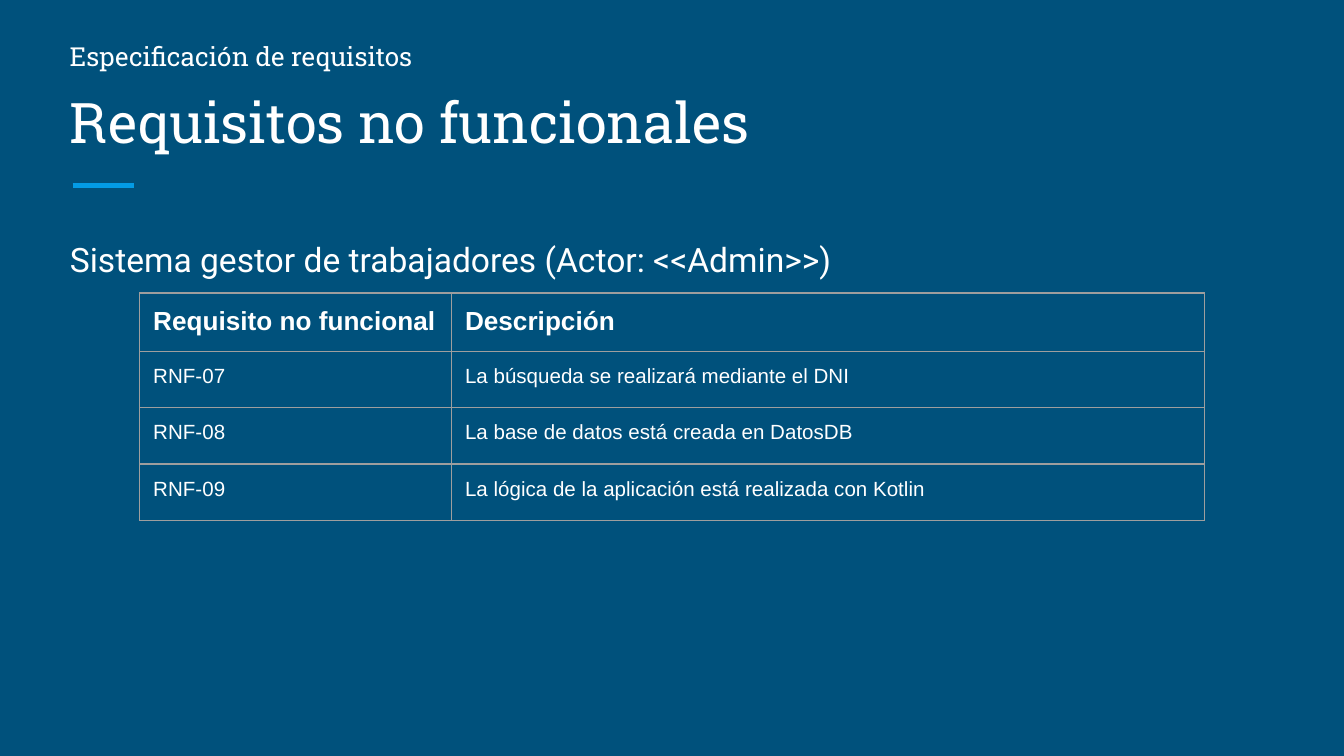
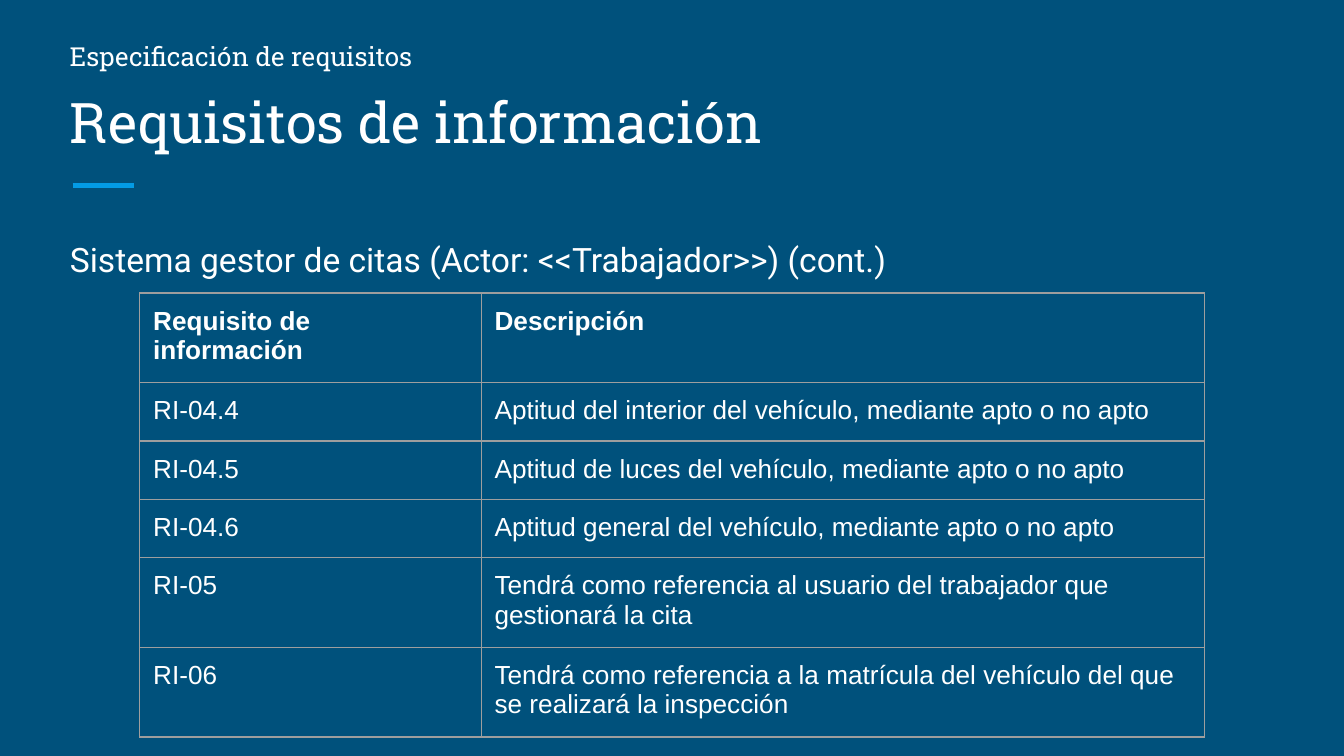
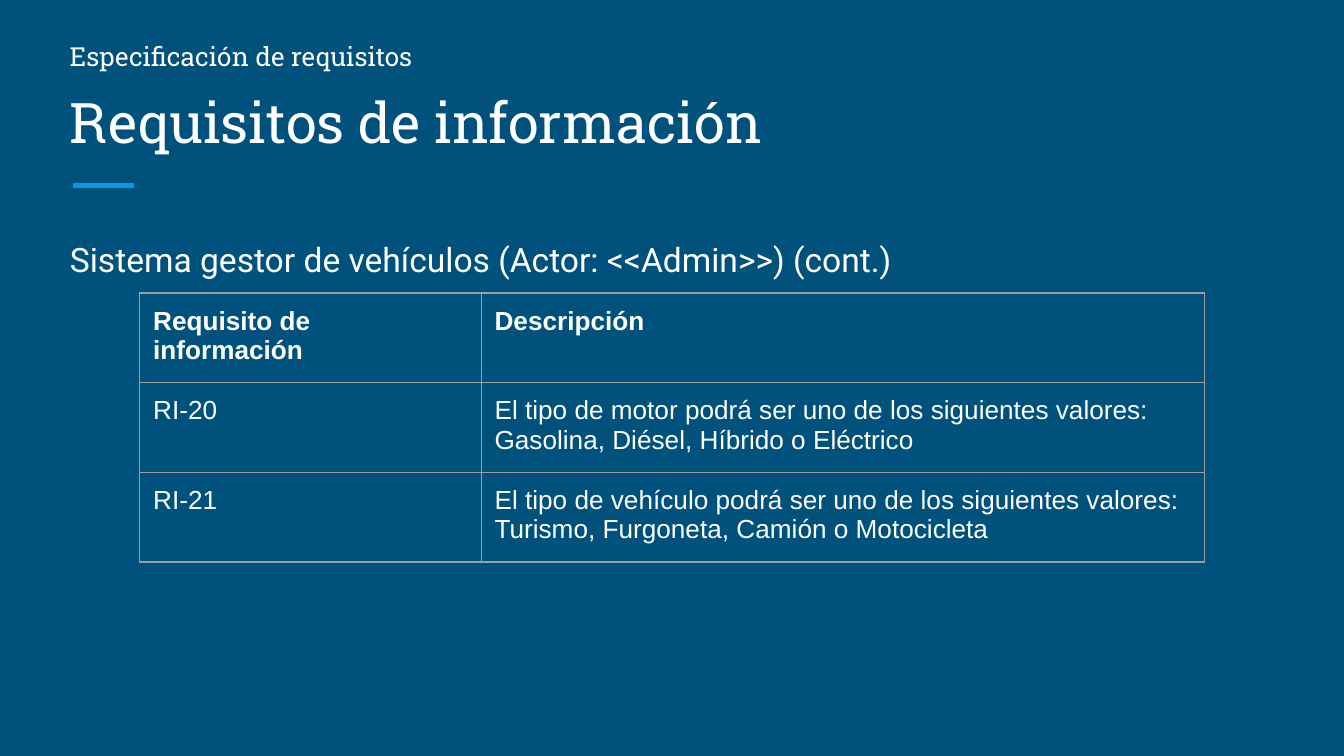
from lxml import etree
from pptx import Presentation
from pptx import util as u
from pptx.dml.color import RGBColor
from pptx.enum import shapes, text
from pptx.oxml import ns

HEX = {"back": "00517C", "text": "FFFFFF", "accent": "039BE5", "grid": "9E9E9E"}
WIDE = u.Inches(10)
HIGH = WIDE * 9 // 16
LEFT = 0.42
INSET = u.Inches(0.1)
ROW = 0.42

LOOKS = {
    "title": {"name": "Roboto Slab", "size": u.Pt(30)},
    "topic": {"name": "Roboto Slab", "size": u.Pt(14)},
    "body": {"name": "Roboto", "size": u.Pt(18)},
    "head": {"name": "Arial", "size": u.Pt(14), "bold": True},
    "cell": {"name": "Arial", "size": u.Pt(14), "bold": False},
    "small": {"name": "Arial", "size": u.Pt(11), "bold": False},
}
PLAIN = {"alignment": text.PP_ALIGN.LEFT, "space_before": u.Pt(0)}
LIST = {**PLAIN, "line_spacing": 1.15, "space_after": u.Pt(12)}
MARGINS = {f"margin_{side}": INSET for side in ("left", "top", "right", "bottom")}

TOPIC = "Especificación de requisitos"
INFO = ("Requisito de información", "Descripción")
PAGES = [
    {
        "title": "Requisitos no funcionales",
        "body": "Sistema gestor de trabajadores (Actor: <<Admin>>)",
        "cols": (2.32, 5.6),
        "look": "small",
        "rows": [
            ("Requisito no funcional", "Descripción"),
            ("RNF-07", "La búsqueda se realizará mediante el DNI"),
            ("RNF-08", "La base de datos está creada en DatosDB"),
            ("RNF-09", "La lógica de la aplicación está realizada con Kotlin"),
        ],
    },
    {
        "title": "Requisitos de información",
        "body": "Sistema gestor de citas (Actor: <<Trabajador>>) (cont.)",
        "cols": (2.54, 5.38),
        "look": "cell",
        "rows": [
            INFO,
            ("RI-04.4", "Aptitud del interior del vehículo, mediante apto o no apto"),
            ("RI-04.5", "Aptitud de luces del vehículo, mediante apto o no apto"),
            ("RI-04.6", "Aptitud general del vehículo, mediante apto o no apto"),
            ("RI-05", "Tendrá como referencia al usuario del trabajador que "
                      "gestionará la cita"),
            ("RI-06", "Tendrá como referencia a la matrícula del vehículo del que "
                      "se realizará la inspección"),
        ],
    },
    {
        "title": "Requisitos de información",
        "body": "Sistema gestor de vehículos (Actor: <<Admin>>) (cont.)",
        "cols": (2.54, 5.38),
        "look": "cell",
        "rows": [
            INFO,
            ("RI-20", "El tipo de motor podrá ser uno de los siguientes valores: "
                      "Gasolina, Diésel, Híbrido o Eléctrico"),
            ("RI-21", "El tipo de vehículo podrá ser uno de los siguientes valores: "
                      "Turismo, Furgoneta, Camión o Motocicleta"),
        ],
    },
]


def color(key):
    return RGBColor.from_string(HEX[key])


def apply(target, values):
    for name, value in values.items():
        setattr(target, name, value)


def write(frame, words, look, para=PLAIN):
    line = frame.paragraphs[0]
    apply(line, para)
    run = line.add_run()
    run.text = words
    apply(run.font, LOOKS[look])
    run.font.color.rgb = color("text")


def place(shape, left, top, width, height):
    box = {"left": left, "top": top, "width": width, "height": height}
    apply(shape, {name: u.Inches(size) for name, size in box.items()})


def setup(frame, anchor, fit=text.MSO_AUTO_SIZE.NONE):
    apply(frame, {**MARGINS, "word_wrap": True, "auto_size": fit,
                  "vertical_anchor": anchor})


def add_title(slide, words):
    shape = slide.shapes.title
    place(shape, LEFT, 0.5, 9.15, 0.75)
    setup(shape.text_frame, text.MSO_ANCHOR.BOTTOM)
    write(shape.text_frame, words, "title")


def add_body(slide, words):
    shape = slide.placeholders[1]
    place(shape, LEFT, 1.63, 9.15, 3.37)
    setup(shape.text_frame, text.MSO_ANCHOR.TOP)
    write(shape.text_frame, words, "body", LIST)
    props = shape.text_frame.paragraphs[0]._p.get_or_add_pPr()
    props.set("marL", "0")
    props.set("indent", "0")
    etree.SubElement(props, ns.qn("a:buNone"))


def add_topic(slide):
    shape = slide.shapes.add_textbox(0, 0, 0, 0)
    place(shape, LEFT, 0.2, 4.57, 0.44)
    setup(shape.text_frame, text.MSO_ANCHOR.TOP, text.MSO_AUTO_SIZE.SHAPE_TO_FIT_TEXT)
    write(shape.text_frame, TOPIC, "topic")


def add_rule(slide):
    """Draw the short accent line under the title."""
    ends = [u.Inches(size) for size in (0.54, 1.38, 1, 1.38)]
    rule = slide.shapes.add_connector(shapes.MSO_CONNECTOR.STRAIGHT, *ends)
    rule.line.color.rgb = color("accent")
    rule.line.width = u.Pt(3)
    etree.SubElement(rule._element.spPr, ns.qn("a:effectLst"))


def frame_cell(cell):
    """Give the cell four thin borders and no fill."""
    props = cell._tc.get_or_add_tcPr()
    for side in ("lnL", "lnR", "lnT", "lnB"):
        edge = etree.SubElement(props, ns.qn(f"a:{side}"), w=str(u.Pt(0.75)))
        fill = etree.SubElement(edge, ns.qn("a:solidFill"))
        etree.SubElement(fill, ns.qn("a:srgbClr"), val=HEX["grid"])
    cell.fill.background()


def add_grid(slide, rows, cols, look):
    box = [u.Inches(size) for size in (1.04, 2.18, sum(cols), ROW * len(rows))]
    table = slide.shapes.add_table(len(rows), len(cols), *box).table
    apply(table, {"first_row": False, "horz_banding": False})
    for col, width in zip(table.columns, cols):
        col.width = u.Inches(width)
    for r, row in enumerate(rows):
        table.rows[r].height = u.Inches(ROW)
        for c, words in enumerate(row):
            cell = table.cell(r, c)
            apply(cell, MARGINS)
            frame_cell(cell)
            write(cell.text_frame, words, look if r else "head")


def main():
    deck = Presentation()
    apply(deck, {"slide_width": WIDE, "slide_height": HIGH})
    fill = deck.slide_master.background.fill
    fill.solid()
    fill.fore_color.rgb = color("back")
    for page in PAGES:
        slide = deck.slides.add_slide(deck.slide_layouts[1])
        add_rule(slide)
        add_title(slide, page["title"])
        add_body(slide, page["body"])
        add_topic(slide)
        add_grid(slide, page["rows"], page["cols"], page["look"])
    deck.save("out.pptx")


if __name__ == "__main__":
    main()
